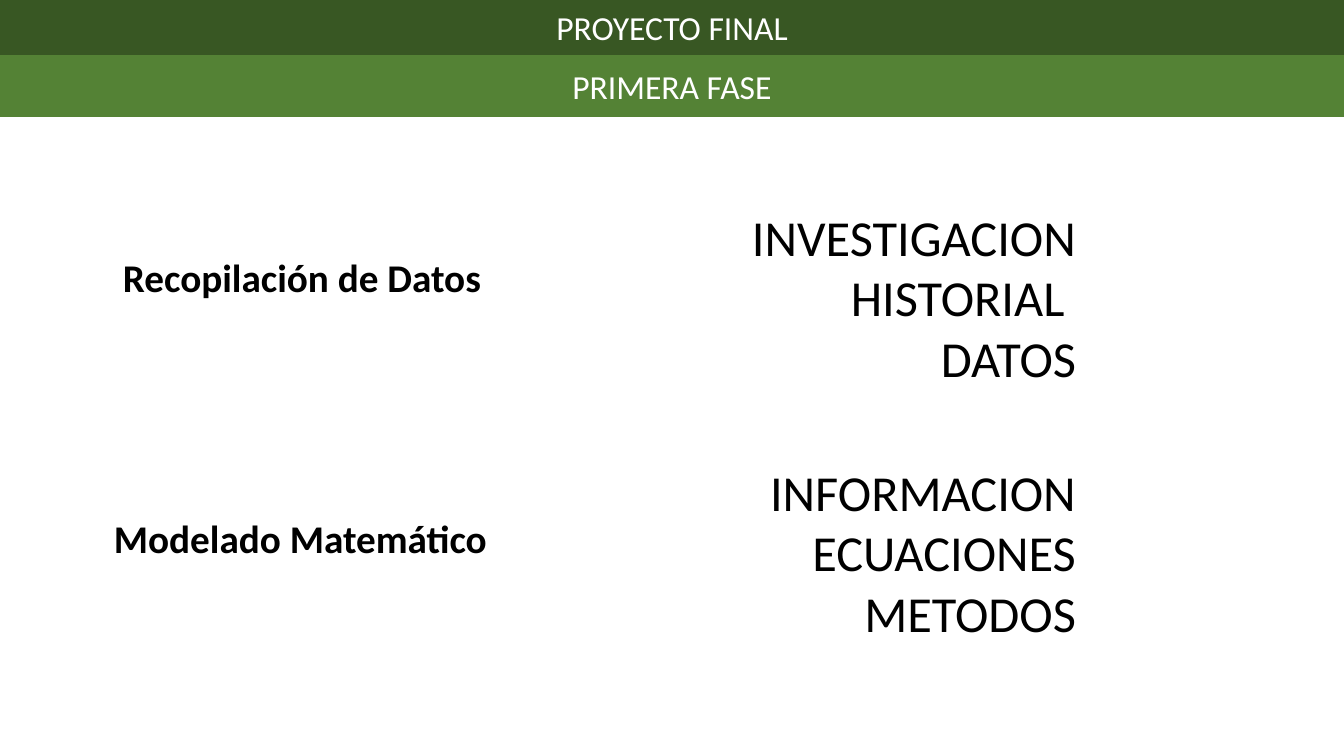
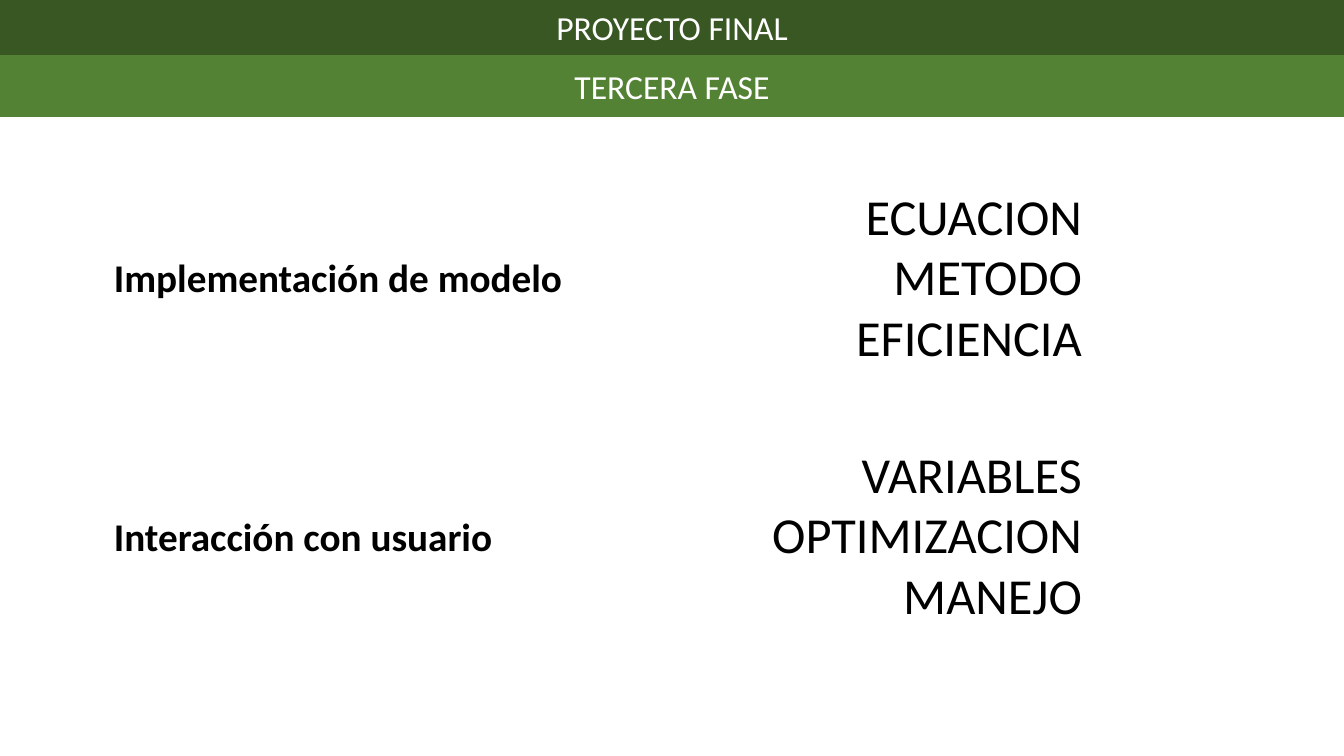
"""Build the two phase slides of the final project."""
from pptx import Presentation
from pptx.dml.color import RGBColor
from pptx.enum.shapes import MSO_SHAPE
from pptx.enum.text import MSO_ANCHOR, MSO_AUTO_SIZE, PP_ALIGN
from pptx.util import Emu, Pt

SLIDE_W, SLIDE_H = 1344, 756
FONT = "Calibri"
COLORS = {"project": "385723", "phase": "548235", "band_text": "FFFFFF", "ink": "000000"}
PROJECT_BAND = (0, 0, SLIDE_W, 55)
PHASE_BAND = (0, 55, SLIDE_W, 62)
LABEL_H, KEYWORDS_W, KEYWORDS_H = 61, 400, 193
TOPIC_LEFT = 104

PHASES = [
    {
        "title": "PRIMERA FASE",
        "keywords_right": 1086,
        "topics": [
            {"label": "Recopilación de Datos", "indent": 9, "label_top": 245,
             "keywords": ["INVESTIGACION", "HISTORIAL ", "DATOS"], "keywords_top": 201},
            {"label": "Modelado Matemático", "indent": 0, "label_top": 506,
             "keywords": ["INFORMACION", "ECUACIONES", "METODOS"], "keywords_top": 456},
        ],
    },
    {
        "title": "TERCERA FASE",
        "keywords_right": 1092,
        "topics": [
            {"label": "Implementación de modelo", "indent": 0, "label_top": 245,
             "keywords": ["ECUACION", "METODO", "EFICIENCIA"], "keywords_top": 180},
            {"label": "Interacción con usuario", "indent": 0, "label_top": 504,
             "keywords": ["VARIABLES", "OPTIMIZACION", "MANEJO"], "keywords_top": 438},
        ],
    },
]


def px(length):
    """Turn px into EMU."""
    return Emu(round(length * 12192000 / SLIDE_W))


def write(shape, lines, size, color, align, bold=False, spacing=1.0, anchor=MSO_ANCHOR.TOP):
    """Write one paragraph per line into a shape."""
    frame = shape.text_frame
    frame.word_wrap = True
    frame.auto_size = MSO_AUTO_SIZE.NONE
    frame.vertical_anchor = anchor
    for index, line in enumerate(lines):
        paragraph = frame.add_paragraph() if index else frame.paragraphs[0]
        paragraph.alignment = align
        paragraph.line_spacing = spacing
        run = paragraph.add_run()
        run.text = line
        run.font.name = FONT
        run.font.size = Pt(size)
        run.font.bold = bold
        run.font.color.rgb = RGBColor.from_string(COLORS[color])


def style_band(band, text, fill):
    """Fill a header band and centre its text."""
    band.fill.solid()
    band.fill.fore_color.rgb = RGBColor.from_string(COLORS[fill])
    band.line.fill.background()
    write(band, [text], 24, "band_text", PP_ALIGN.CENTER, anchor=MSO_ANCHOR.MIDDLE)


def add_header(slide, phase_title):
    """Add the project band and turn the title into the phase band."""
    project = slide.shapes.add_shape(MSO_SHAPE.RECTANGLE, *map(px, PROJECT_BAND))
    project.shadow.inherit = False
    style_band(project, "PROYECTO FINAL", "project")
    title = slide.shapes.title
    title.left, title.top, title.width, title.height = map(px, PHASE_BAND)
    style_band(title, phase_title, "phase")


def add_topic(slide, topic, box):
    """Place a label at the left of the box and keywords at its right."""
    left, top, width, height = box
    label_left = left + topic["indent"]
    label_w = width - KEYWORDS_W - topic["indent"]
    label = slide.shapes.add_textbox(
        px(label_left), px(topic["label_top"]), px(label_w), px(LABEL_H))
    write(label, [topic["label"]], 28, "ink", PP_ALIGN.JUSTIFY, bold=True, spacing=1.07)
    keywords = slide.shapes.add_textbox(
        px(left + width - KEYWORDS_W), px(top), px(KEYWORDS_W), px(height))
    write(keywords, topic["keywords"], 36, "ink", PP_ALIGN.RIGHT)


def add_phase(deck, phase):
    """Add one phase slide with its header and topics."""
    slide = deck.slides.add_slide(deck.slide_layouts.get_by_name("Title Only"))
    add_header(slide, phase["title"])
    width = phase["keywords_right"] - TOPIC_LEFT
    for topic in phase["topics"]:
        add_topic(slide, topic, (TOPIC_LEFT, topic["keywords_top"], width, KEYWORDS_H))


def main():
    """Build and save the deck."""
    deck = Presentation()
    deck.slide_width, deck.slide_height = px(SLIDE_W), px(SLIDE_H)
    for phase in PHASES:
        add_phase(deck, phase)
    deck.save("out.pptx")


if __name__ == "__main__":
    main()
